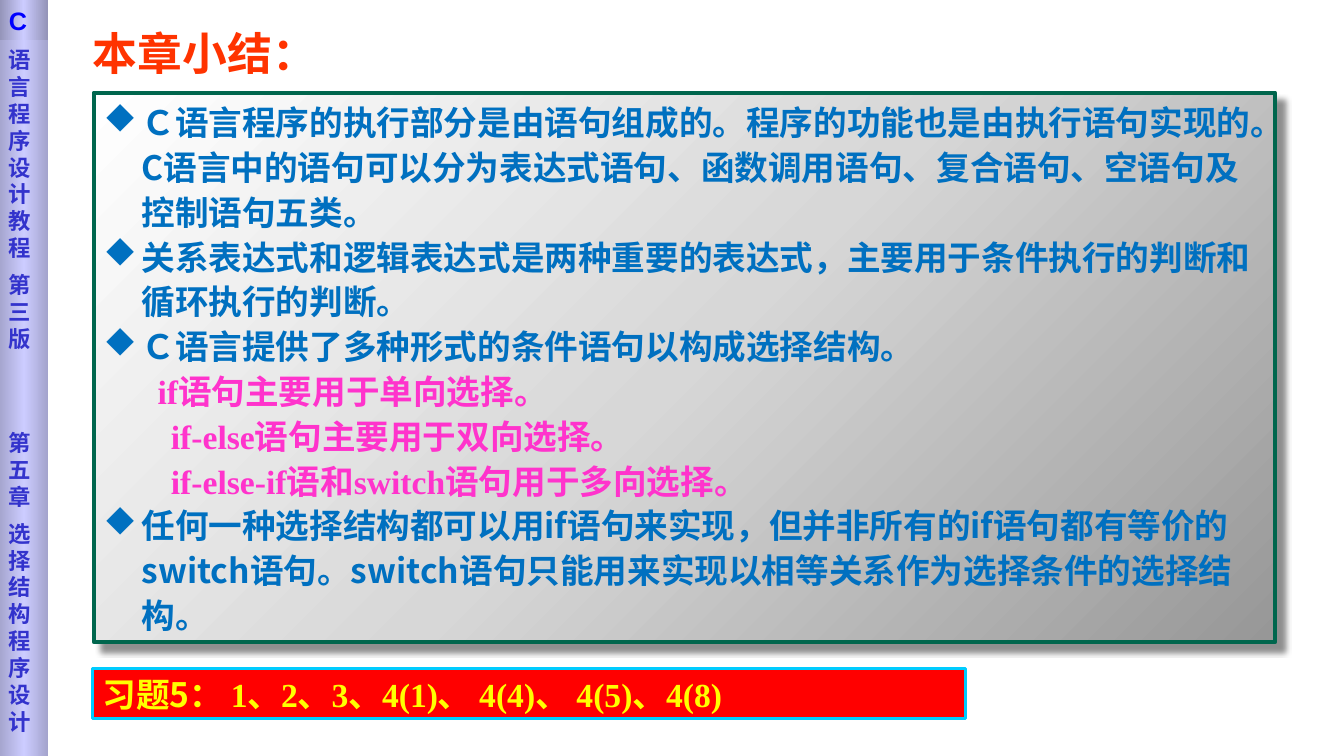
import copy
import pptx
import pptx.util
import pptx.dml.color
import pptx.enum.shapes
import pptx.enum.text
import pptx.oxml
import pptx.oxml.ns
from lxml import etree

Pt = pptx.util.Pt
RGB = pptx.dml.color.RGBColor
qn = pptx.oxml.ns.qn
ALIGN = pptx.enum.text.PP_ALIGN
ANCHOR = pptx.enum.text.MSO_ANCHOR

RED, ORANGE, YELLOW = RGB(255, 0, 0), RGB(255, 51, 0), RGB(255, 255, 0)
CYAN, GREEN, PINK = RGB(0, 204, 255), RGB(0, 102, 77), RGB(255, 51, 204)
BLUE, DEEP, INDIGO = RGB(0, 112, 192), RGB(0, 0, 255), RGB(51, 51, 204)
GREYS = [RGB(151, 151, 151), RGB(215, 215, 215), RGB(255, 255, 255)]
LILAC, EDGE, CAP = RGB(204, 204, 255), RGB(164, 164, 205), RGB(146, 146, 182)

SANS, SERIF = "Noto Sans CJK SC", "Times New Roman"

# Content
TITLE = [("本章小结", SANS), ("：", SERIF)]
TASKS = [("习题5： ", SANS), ("1、2、3、4(1)、 4(4)、 4(5)、4(8)", SERIF)]
# Each point: indent of a plain line (None for a bullet), text
POINTS = [
    (None, "Ｃ语言程序的执行部分是由语句组成的。程序的功能也是由执行语句实现的。"
           "C语言中的语句可以分为表达式语句、函数调用语句、复合语句、空语句及控制语句五类。"),
    (None, "关系表达式和逻辑表达式是两种重要的表达式，主要用于条件执行的判断和循环执行的判断。"),
    (None, "Ｃ语言提供了多种形式的条件语句以构成选择结构。"),
    (38.5, "if语句主要用于单向选择。"),
    (48, "if-else语句主要用于双向选择。"),
    (48, "if-else-if语和switch语句用于多向选择。"),
    (None, "任何一种选择结构都可以用if语句来实现，但并非所有的if语句都有等价的switch语句。"
           "switch语句只能用来实现以相等关系作为选择条件的选择结构。"),
]
# Each side label: space before, text
SIDE = [(0, "语言程序设计教程"), (7.3, "第三版"),
        (55, "第五章"), (7.3, "选择结构程序设计")]

deck = pptx.Presentation()
deck.slide_width, deck.slide_height = Pt(960), Pt(540)
slide = deck.slides.add_slide(deck.slide_layouts[5])


def style(run, face, size, color):
    font = run.font
    font.name, font.size, font.bold = face, Pt(size), True
    font.color.rgb = color
    east = etree.SubElement(run._r.get_or_add_rPr(), qn("a:ea"))
    east.set("typeface", SANS)


def write(para, parts, size, color):
    para.alignment = ALIGN.LEFT
    for text, face in parts:
        run = para.add_run()
        run.text = text
        style(run, face, size, color)


def box(x, y, w, h, anchor):
    shape = slide.shapes.add_shape(
        pptx.enum.shapes.MSO_SHAPE.RECTANGLE, Pt(x), Pt(y), Pt(w), Pt(h))
    shape.shadow.inherit = False
    shape.line.fill.background()
    shape.text_frame.word_wrap = True
    shape.text_frame.vertical_anchor = anchor
    return shape


def blend(shape, colors, angle):
    shape.fill.gradient()
    shape.fill.gradient_angle = angle
    stops = shape.element.spPr.find(qn("a:gradFill")).find(qn("a:gsLst"))
    stops.insert(1, copy.deepcopy(stops[0]))
    for i, (stop, color) in enumerate(zip(shape.fill.gradient_stops, colors)):
        stop.position = i / 2
        stop.color.rgb = color


def edge(shape, color, width):
    shape.line.color.rgb = color
    shape.line.width = Pt(width)


def lines(frame, items):
    for i, item in enumerate(items):
        yield (frame.add_paragraph() if i else frame.paragraphs[0]), item


# Title
title = slide.shapes.title
title.left, title.top, title.width, title.height = Pt(59), Pt(15), Pt(199), Pt(45.5)
title.text_frame.vertical_anchor = ANCHOR.MIDDLE
write(title.text_frame.paragraphs[0], TITLE, 32, ORANGE)

# Exercise bar
tasks = box(66.2, 477.5, 623.5, 36, ANCHOR.MIDDLE)
tasks.fill.solid()
tasks.fill.fore_color.rgb = RED
edge(tasks, CYAN, 2.25)
write(tasks.text_frame.paragraphs[0], TASKS, 24, YELLOW)

# Summary panel with its shadow
panel = box(67, 66.2, 843.8, 392.4, ANCHOR.TOP)
blend(panel, GREYS, 135)
edge(panel, GREEN, 3)
panel.element.spPr.find(qn("a:effectLst")).append(pptx.oxml.parse_xml(
    '<a:outerShdw xmlns:a="http://schemas.openxmlformats.org/drawingml/2006/main"'
    ' blurRad="50800" dist="106680" dir="2700000" algn="tl" rotWithShape="0">'
    '<a:srgbClr val="000000"><a:alpha val="43000"/></a:srgbClr></a:outerShdw>'))

for para, (indent, text) in lines(panel.text_frame, POINTS):
    bullet = indent is None
    para.line_spacing = Pt(32)
    props = para._p.get_or_add_pPr()
    props.set("marL", str(Pt(27 if bullet else indent)))
    props.set("indent", str(Pt(-27 if bullet else 0)))
    if bullet:
        etree.SubElement(props, qn("a:buFont")).set("typeface", "Wingdings")
        etree.SubElement(props, qn("a:buChar")).set("char", "u")
    write(para, [(text, SANS if bullet else SERIF)], 24, BLUE if bullet else PINK)

# Side strip, one character to a line
strip = box(-0.7, 0, 35.3, 540, ANCHOR.TOP)
blend(strip, [EDGE, LILAC, EDGE], 0)
strip.text_frame.margin_top = Pt(33)
for para, (gap, text) in lines(strip.text_frame, SIDE):
    para.line_spacing = Pt(19.2)
    para.space_before = Pt(gap)
    write(para, [(text, "DejaVu Sans")], 16, INDIGO)

# Head of the strip
head = box(-0.7, 0, 35.3, 28.8, ANCHOR.MIDDLE)
blend(head, [CAP, LILAC, CAP], 0)
write(head.text_frame.paragraphs[0], [("C", "Arial")], 18, DEEP)

deck.save("out.pptx")
